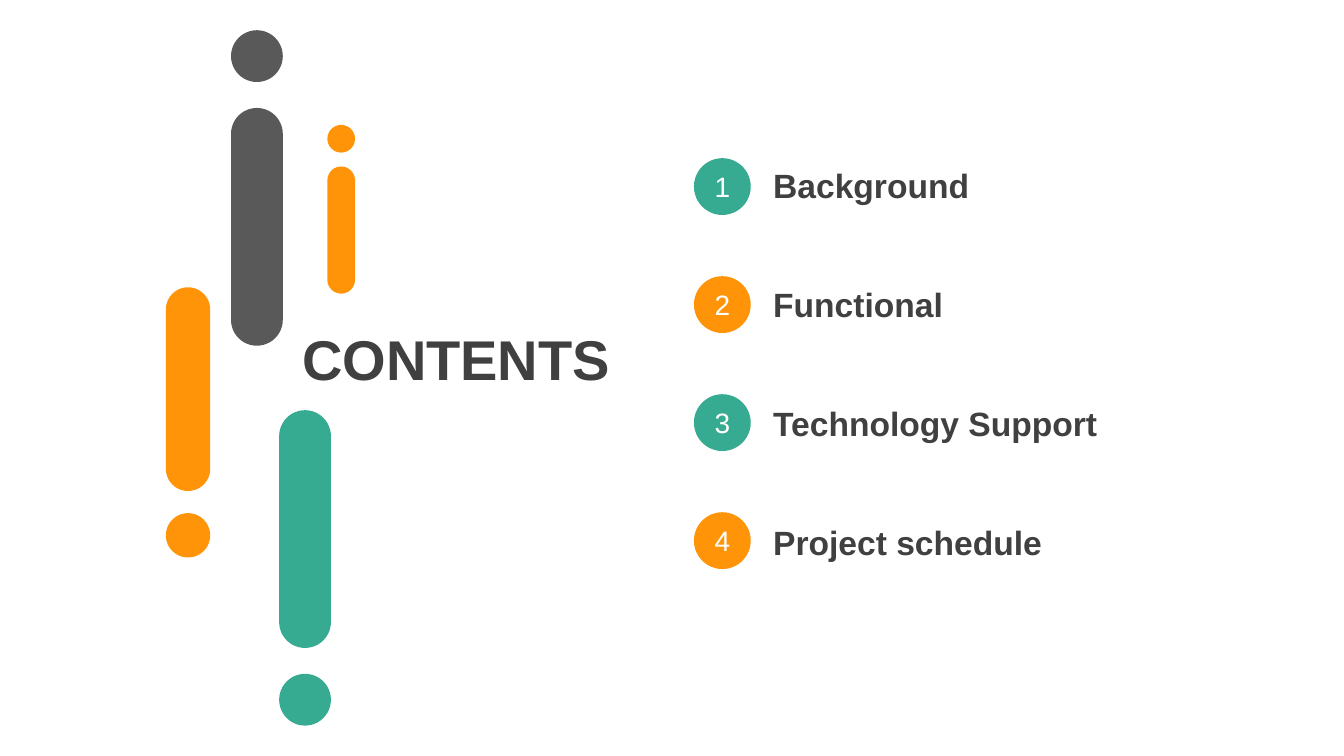
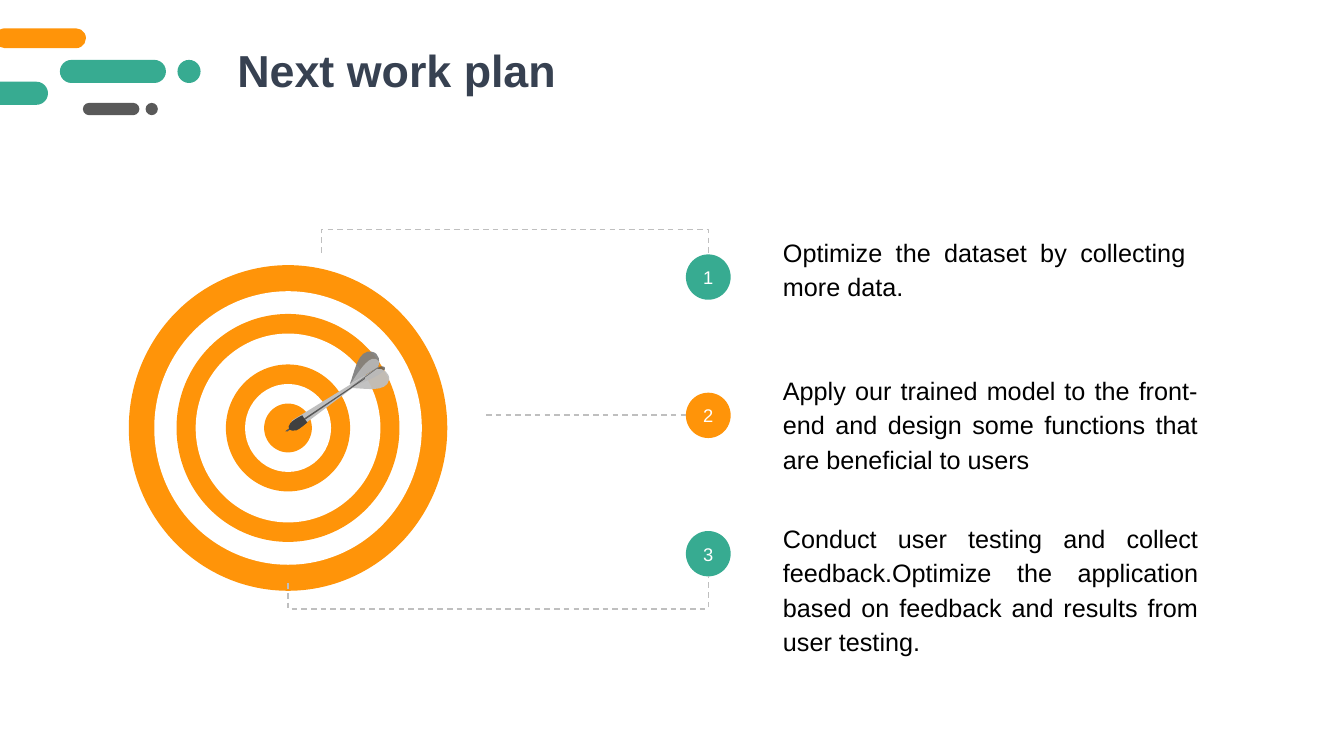
import pptx
import pptx.dml.color
import pptx.enum.dml
import pptx.enum.shapes
import pptx.enum.text
import pptx.oxml.ns
import pptx.util
from lxml import etree

Pt = pptx.util.Pt
RGBColor = pptx.dml.color.RGBColor
Shape = pptx.enum.shapes.MSO_SHAPE
Connector = pptx.enum.shapes.MSO_CONNECTOR
Align = pptx.enum.text.PP_ALIGN
qn = pptx.oxml.ns.qn

GREEN = RGBColor(0x37, 0xAB, 0x91)
ORANGE = RGBColor(0xFF, 0x94, 0x09)
GREY = RGBColor(0x59, 0x59, 0x59)
CHARCOAL = RGBColor(0x40, 0x40, 0x40)
SLATE = RGBColor(0x37, 0x41, 0x51)
MID_GREY = RGBColor(0x80, 0x80, 0x80)
SILVER = RGBColor(0xBF, 0xBF, 0xBF)
WHITE = RGBColor(0xFF, 0xFF, 0xFF)
BLACK = RGBColor(0, 0, 0)

FONT = "Arial"
BAR_RATIO = 4.59  # bar length over thickness
GAP_RATIO = 0.5  # gap between bar and dot over thickness

CONTENTS = ["Background", "Functional", "Technology Support", "Project schedule"]

# text, rise of the text box above its badge, box width
PLAN = [
    ("Optimize the dataset by collecting more data.", 19, 301.7),
    ("Apply our trained model to the front-end and design some functions "
     "that are beneficial to users", 19.2, 310.5),
    ("Conduct user testing and collect feedback.Optimize the application "
     "based on feedback and results from user testing.", 12.2, 310.8),
]

RING_WIDTHS = [1, 0.84, 0.7, 0.58, 0.39, 0.27, 0.15]  # shares of the target

# Dart outlines in units of 0.72 pt: a pair is a line end,
# six numbers are two control points and a curve end.
DART_UNIT = 0.72
DART = [
    (SILVER, 100, [(96, 24), (10, 77), (8, 79, 8, 82, 9, 84),
                   (11, 86, 12, 86, 14, 85), (19, 83), (96, 25)]),
    (GREY, 80, [(68, 44), (104, 31, 102, 26, 102, 25),
                (102, 24, 99, 22, 94, 25)]),
    (MID_GREY, 94, [(67, 41), (72, 29, 75, 6, 89, 9),
                    (96, 10, 98, 19, 95, 25)]),
    (SILVER, 94, [(68, 45), (82, 45, 103, 50, 106, 37),
                  (107, 30, 100, 25, 94, 26)]),
    (SILVER, 80, [(67, 42), (73, 34, 84, 13, 93, 16),
                  (95, 17, 98, 19, 95, 24)]),
    (GREY, 100, [(82, 35), (7, 85), (5, 86, 3, 88, 3, 88),
                 (4, 89, 6, 88, 8, 86), (16, 81), (82, 36)]),
    (CHARCOAL, 100, [(25, 79), (22, 76, 21, 74, 20, 72),
                     (18, 73, 10, 77, 8, 80), (6, 82, 6, 85, 7, 86),
                     (8, 87, 11, 88, 14, 87), (17, 86, 24, 80, 25, 79)]),
]


def paint(shape, colour, opacity=100):
    shape.shadow.inherit = False
    shape.fill.solid()
    shape.fill.fore_color.rgb = colour
    shape.line.fill.background()
    if opacity < 100:
        solid = shape._element.spPr.find(qn("a:solidFill"))
        etree.SubElement(solid[0], qn("a:alpha"), val=str(opacity * 1000))


def add_solid(slide, kind, left, top, width, height, colour):
    shape = slide.shapes.add_shape(kind, Pt(left), Pt(top), Pt(width), Pt(height))
    paint(shape, colour)
    if kind == Shape.ROUNDED_RECTANGLE:
        shape.adjustments[0] = 0.5
    return shape


def write(frame, text, size, colour, bold=False, align=Align.LEFT,
          spacing=None, kerned=True):
    paragraph = frame.paragraphs[0]
    paragraph.alignment = align
    if spacing:
        paragraph.line_spacing = spacing
    run = paragraph.add_run()
    run.text = text
    run.font.name = FONT
    run.font.size = Pt(size)
    run.font.bold = bold
    run.font.color.rgb = colour
    if not kerned:
        run._r.get_or_add_rPr().set("kern", "0")


def add_text(slide, left, top, width, height, text, size, colour, **style):
    frame = slide.shapes.add_textbox(
        Pt(left), Pt(top), Pt(width), Pt(height)).text_frame
    frame.word_wrap = True
    write(frame, text, size, colour, **style)


def add_badge(slide, left, top, width, height, number, size):
    """Numbered disc: odd numbers are green, even ones orange."""
    colour = GREEN if number % 2 else ORANGE
    frame = add_solid(slide, Shape.OVAL, left, top, width, height, colour).text_frame
    frame.margin_left = frame.margin_right = 0
    frame.margin_top = frame.margin_bottom = 0
    frame.vertical_anchor = pptx.enum.text.MSO_ANCHOR.MIDDLE
    write(frame, str(number), size, WHITE, align=Align.CENTER)


def add_bar_and_dot(slide, left, top, thickness, colour,
                    horizontal=False, dot_first=False):
    """Rounded bar with a dot at one end, upright unless horizontal."""
    bar_length = thickness * BAR_RATIO
    gap = thickness * GAP_RATIO
    bar_start = thickness + gap if dot_first else 0
    dot_start = 0 if dot_first else bar_length + gap
    parts = [(Shape.ROUNDED_RECTANGLE, bar_start, bar_length),
             (Shape.OVAL, dot_start, thickness)]
    for kind, start, length in parts:
        if horizontal:
            box = (left + start, top, length, thickness)
        else:
            box = (left, top + start, thickness, length)
        add_solid(slide, kind, *box, colour)


def add_contents_emblem(slide, left, top):
    add_bar_and_dot(slide, left + 46.5, top, 37, GREY, dot_first=True)
    add_bar_and_dot(slide, left + 115.3, top + 67.6, 19.8, ORANGE, dot_first=True)
    add_bar_and_dot(slide, left + 80.9, top + 271.4, 37, GREEN)
    add_bar_and_dot(slide, left, top + 183.6, 31.7, ORANGE)
    add_text(slide, left + 90.3, top + 206.9, 240.5, 55.4,
             "CONTENTS", 40, CHARCOAL, bold=True)


def add_contents_list(slide, left, top):
    for index, label in enumerate(CONTENTS):
        add_text(slide, left + 49.5, top + 1.5 + index * 85, 260, 36,
                 label, 24, CHARCOAL, bold=True, kerned=False)
        add_badge(slide, left, top + index * 84.3, 40.6, 40.6, index + 1, 20)


def add_header(slide, left, top, title):
    add_bar_and_dot(slide, left + 42.8, top + 22.6, 16.5, GREEN, horizontal=True)
    add_bar_and_dot(slide, left + 59.2, top + 53.3, 8.8, GREY, horizontal=True)
    add_solid(slide, Shape.ROUNDED_RECTANGLE,
              left - 12.2, top + 38.2, 46.5, 16.5, GREEN)
    add_solid(slide, Shape.ROUNDED_RECTANGLE, left - 3.6, top, 65, 14.2, ORANGE)
    add_text(slide, left + 162.4, top + 6.7, 347, 46, title, 32, SLATE, bold=True)


def bend_segments(shape, segments):
    """Join each three line ends that stand for one curve."""
    outline = next(shape._element.iter(qn("a:path")))
    ends = iter(outline.findall(qn("a:lnTo")))
    for segment in segments:
        end = next(ends)
        if len(segment) == 6:
            curve = etree.Element(qn("a:cubicBezTo"))
            end.addprevious(curve)
            for part in (end, next(ends), next(ends)):
                curve.append(part[0])
                outline.remove(part)


def add_dart(slide, left, top):
    for colour, opacity, outline in DART:
        corners = [(Pt(left + segment[i] * DART_UNIT),
                    Pt(top + segment[i + 1] * DART_UNIT))
                   for segment in outline for i in range(0, len(segment), 2)]
        builder = slide.shapes.build_freeform(*corners[0])
        # An unclosed builder adds no extra line back to the start.
        builder.add_line_segments(corners[1:], close=False)
        shape = builder.convert_to_shape()
        bend_segments(shape, outline[1:])
        etree.SubElement(next(shape._element.iter(qn("a:path"))), qn("a:close"))
        paint(shape, colour, opacity)


def add_target(slide, left, top, width, height):
    for index, share in enumerate(RING_WIDTHS):
        add_solid(slide, Shape.OVAL,
                  left + width * (1 - share) / 2, top + height * (1 - share) / 2,
                  width * share, height * share, WHITE if index % 2 else ORANGE)
    add_dart(slide, left + 109.6, top + 55.4)


def add_dashed_line(slide, kind, x1, y1, x2, y2):
    line = slide.shapes.add_connector(kind, Pt(x1), Pt(y1), Pt(x2), Pt(y2))
    line.line.color.rgb = SILVER
    line.line.width = Pt(1)
    line.line.dash_style = pptx.enum.dml.MSO_LINE.DASH
    etree.SubElement(line._element.spPr, qn("a:effectLst"))
    return line


def add_bracket(slide, x1, y1, x2, y2, bend_y):
    """Elbow line running from (x1, y1) to (x2, y2) by way of bend_y."""
    width, height = abs(y2 - y1), abs(x2 - x1)
    left, top = (x1 + x2 - width) / 2, (y1 + y2 - height) / 2
    line = add_dashed_line(slide, Connector.ELBOW,
                           left, top, left + width, top + height)
    properties = line._element.spPr
    frame = properties.find(qn("a:xfrm"))
    frame.set("flipH", "1")
    if y2 > y1:
        frame.set("rot", "16200000")
    else:
        frame.set("rot", "5400000")
        frame.set("flipV", "1")
    share = round((bend_y - y1) / (y2 - y1) * 100000)
    guides = properties.find(qn("a:prstGeom")).get_or_add_avLst()
    etree.SubElement(guides, qn("a:gd"), name="adj1", fmla=f"val {share}")


def add_plan(slide, left, top):
    """Badges with dashed leaders to the left and texts to the right."""
    width, height, pitch = 32, 32.4, 98.8
    for index, (text, rise, text_width) in enumerate(PLAN):
        badge_top = top + index * pitch
        add_badge(slide, left, badge_top, width, height, index + 1, 13.1)
        add_text(slide, left + 62.3, badge_top - rise, text_width, 57,
                 text, 18, BLACK, align=Align.JUSTIFY, spacing=1.14)
    middle = left + width / 2
    bottom = top + 2 * pitch + height
    add_bracket(slide, left - 260.2, top - 1.3, middle, top, top - 17.8)
    add_bracket(slide, left - 284.2, bottom + 5, middle, bottom, bottom + 23.3)
    leader_y = top + pitch + height / 2 - 0.2
    add_dashed_line(slide, Connector.STRAIGHT, left - 142.6, leader_y, left, leader_y)


def main():
    presentation = pptx.Presentation()
    presentation.slide_width = Pt(960)
    presentation.slide_height = Pt(540)
    blank = presentation.slide_layouts[6]

    contents_slide = presentation.slides.add_slide(blank)
    add_contents_emblem(contents_slide, 118.5, 21.6)
    add_contents_list(contents_slide, 495.7, 113)

    plan_slide = presentation.slides.add_slide(blank)
    add_header(plan_slide, 0, 20.2, "Next work plan")
    add_target(plan_slide, 92, 189.4, 227.5, 232.6)
    add_plan(plan_slide, 489.9, 181.7)

    presentation.save("out.pptx")


if __name__ == "__main__":
    main()
